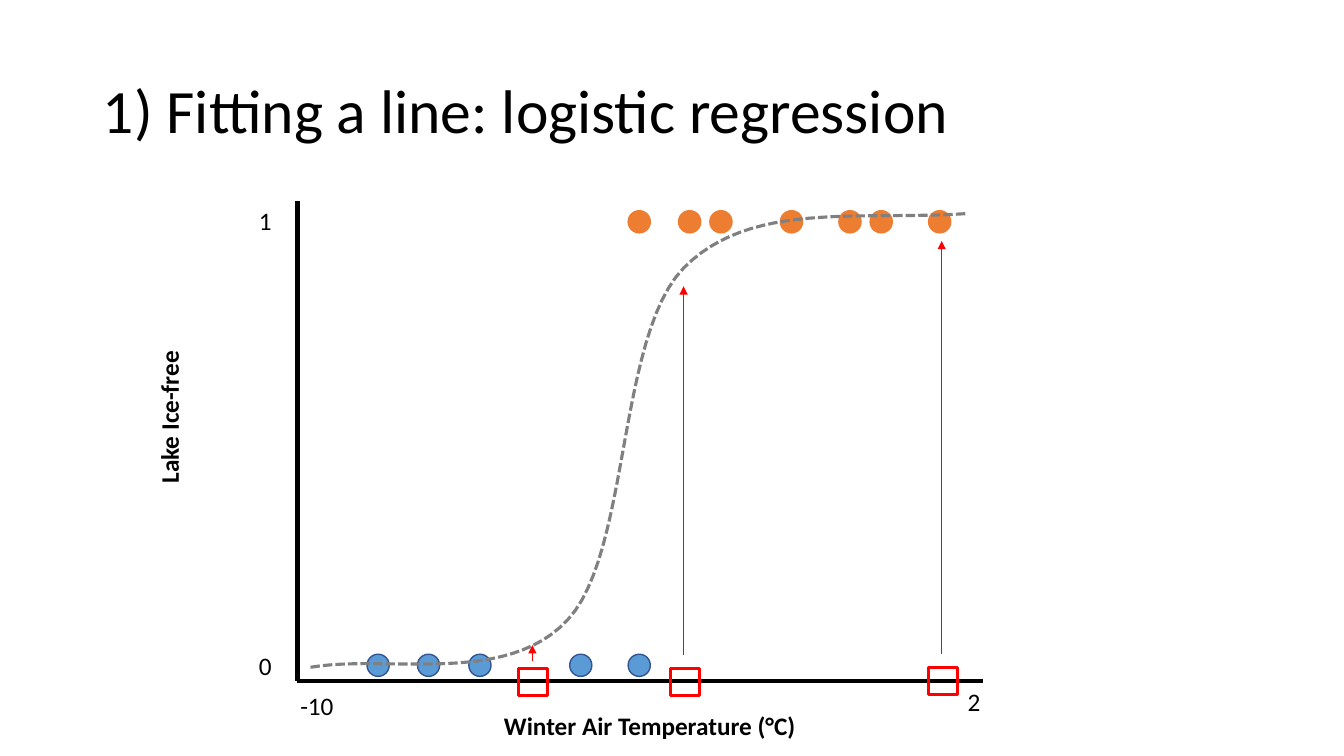
import pptx
import pptx.util
import pptx.dml.color
import pptx.enum.dml
import pptx.enum.shapes
import pptx.enum.text
import pptx.oxml
import pptx.oxml.ns

PX = 9144  # EMU per px, 100 px to the inch
FONT = "Calibri"
COLORS = {
    "text": "000000",
    "axis": "000000",
    "frozen": "5B9BD5",
    "frozen_edge": "325491",
    "ice_free": "ED7D31",
    "curve": "808080",
    "marker": "FF0000",
}
SHAPE = pptx.enum.shapes.MSO_SHAPE
TEXT = pptx.enum.text

DOT = 22
FROZEN_DOTS = [69, 119, 170, 270, 328]
ICE_FREE_DOTS = [328, 378, 409, 479, 537, 568, 626]
CURVE = [(13, 463), (90, 450), (207, 482), (268, 416), (330, 350),
         (317, 135), (383, 67), (449, 0), (556, 20), (663, 13)]
CURVE_STEPS = 24
# Box left and top, then arrow x, start y and end y
PREDICTIONS = [(626, 463, 639, 450, 40),
               (370, 464, 383, 451, 85),
               (219, 464, 233, 457, 441)]


def rgb(name):
    return pptx.dml.color.RGBColor.from_string(COLORS[name])


def px(*lengths):
    return [round(length * PX) for length in lengths]


def style_line(line, color, width):
    line.color.rgb = rgb(color)
    line.width = pptx.util.Pt(width)


def style_text(paragraph, size, bold=False):
    for run in paragraph.runs:
        run.font.name = FONT
        run.font.size = pptx.util.Pt(size)
        run.font.bold = bold
        run.font.color.rgb = rgb("text")


def add_label(shapes, words, left, top, width, bold=False, rotation=0):
    label = shapes.add_textbox(*px(left, top, width, 40))
    label.rotation = rotation
    frame = label.text_frame
    frame.text = words
    frame.word_wrap = False
    frame.auto_size = TEXT.MSO_AUTO_SIZE.SHAPE_TO_FIT_TEXT
    style_text(frame.paragraphs[0], 18, bold)


def add_line(shapes, start, end, color, width, arrow=False):
    connector = shapes.add_connector(
        pptx.enum.shapes.MSO_CONNECTOR.STRAIGHT, *px(*start, *end))
    style_line(connector.line, color, width)
    properties = connector.element.spPr
    if arrow:
        outline = properties.find(pptx.oxml.ns.qn("a:ln"))
        outline.append(pptx.oxml.parse_xml(
            f'<a:tailEnd {pptx.oxml.ns.nsdecls("a")} type="triangle"/>'))
    properties.append(pptx.oxml.parse_xml(
        f'<a:effectLst {pptx.oxml.ns.nsdecls("a")}/>'))


def add_outline(shapes, preset, box, fill, edge, width):
    shape = shapes.add_shape(preset, *px(*box))
    shape.shadow.inherit = False
    if fill:
        shape.fill.solid()
        shape.fill.fore_color.rgb = rgb(fill)
    else:
        shape.fill.background()
    style_line(shape.line, edge, width)


def bezier_points(controls, steps):
    """Sample a chain of cubic curves that share their end points."""
    points = [controls[0]]
    for first in range(0, len(controls) - 1, 3):
        a, b, c, d = controls[first:first + 4]
        for step in range(1, steps + 1):
            t = step / steps
            u = 1 - t
            weights = (u ** 3, 3 * u * u * t, 3 * u * t * t, t ** 3)
            points.append(tuple(
                sum(w * p[axis] for w, p in zip(weights, (a, b, c, d)))
                for axis in (0, 1)))
    return points


def add_title(slide, left, top, width, height):
    title = slide.shapes.title
    title.left, title.top, title.width, title.height = px(left, top, width, height)
    frame = title.text_frame
    frame.text = "1) Fitting a line: logistic regression"
    frame.word_wrap = True
    frame.auto_size = TEXT.MSO_AUTO_SIZE.NONE
    frame.vertical_anchor = TEXT.MSO_ANCHOR.MIDDLE
    heading = frame.paragraphs[0]
    heading.alignment = TEXT.PP_ALIGN.LEFT
    heading.line_spacing = 0.9
    style_text(heading, 44)


def add_axes(shapes, left, top, width, height):
    bottom = top + height
    add_line(shapes, (left, top), (left, bottom), "axis", 3)
    add_line(shapes, (left, bottom), (left + width, bottom), "axis", 3)

    # Axis names and end values
    add_label(shapes, "Lake Ice-free", left - 204, top + 194, 153, True, 270)
    x_labels = shapes.add_group_shape().shapes
    add_label(x_labels, "Winter Air Temperature (°C)", left + 195, bottom + 24, 312, True)
    add_label(x_labels, "-10", left - 7, bottom + 4, 54)
    add_label(x_labels, "2", left + 655, bottom, 33)
    add_label(shapes, "0", left - 48, bottom - 36, 33)
    add_label(shapes, "1", left - 48, top, 33)


def add_observations(shapes, left, top):
    for offsets, row, fill, edge in (
            (FROZEN_DOTS, 450, "frozen", "frozen_edge"),
            (ICE_FREE_DOTS, 10, "ice_free", "ice_free")):
        for offset in offsets:
            add_outline(shapes, SHAPE.OVAL, (left + offset, top + row, DOT, DOT),
                        fill, edge, 1)


def add_curve(shapes, left, top):
    points = [px(left + x, top + y) for x, y in bezier_points(CURVE, CURVE_STEPS)]
    builder = shapes.build_freeform(*points[0])
    builder.add_line_segments(points[1:], close=False)
    curve = builder.convert_to_shape()
    curve.shadow.inherit = False
    curve.fill.background()
    style_line(curve.line, "curve", 2.25)
    curve.line.dash_style = pptx.enum.dml.MSO_LINE.SQUARE_DOT


def add_predictions(shapes, left, top):
    for box_x, box_y, arrow_x, start, end in PREDICTIONS:
        add_outline(shapes, SHAPE.RECTANGLE, (left + box_x, top + box_y, 29, 27),
                    None, "marker", 2.25)
        add_line(shapes, (left + arrow_x, top + start), (left + arrow_x, top + end),
                 "marker", 0.5, arrow=True)


def add_plot(slide, left, top, width, height):
    add_axes(slide.shapes, left, top, width, height)
    add_observations(slide.shapes, left, top)
    add_curve(slide.shapes, left, top)
    add_predictions(slide.shapes, left, top)


def main():
    deck = pptx.Presentation()
    deck.slide_width, deck.slide_height = px(1333, 750)
    slide = deck.slides.add_slide(deck.slide_layouts[5])
    add_title(slide, 92, 40, 1150, 145)
    add_plot(slide, 295, 199, 680, 477)
    deck.save("out.pptx")


if __name__ == "__main__":
    main()
